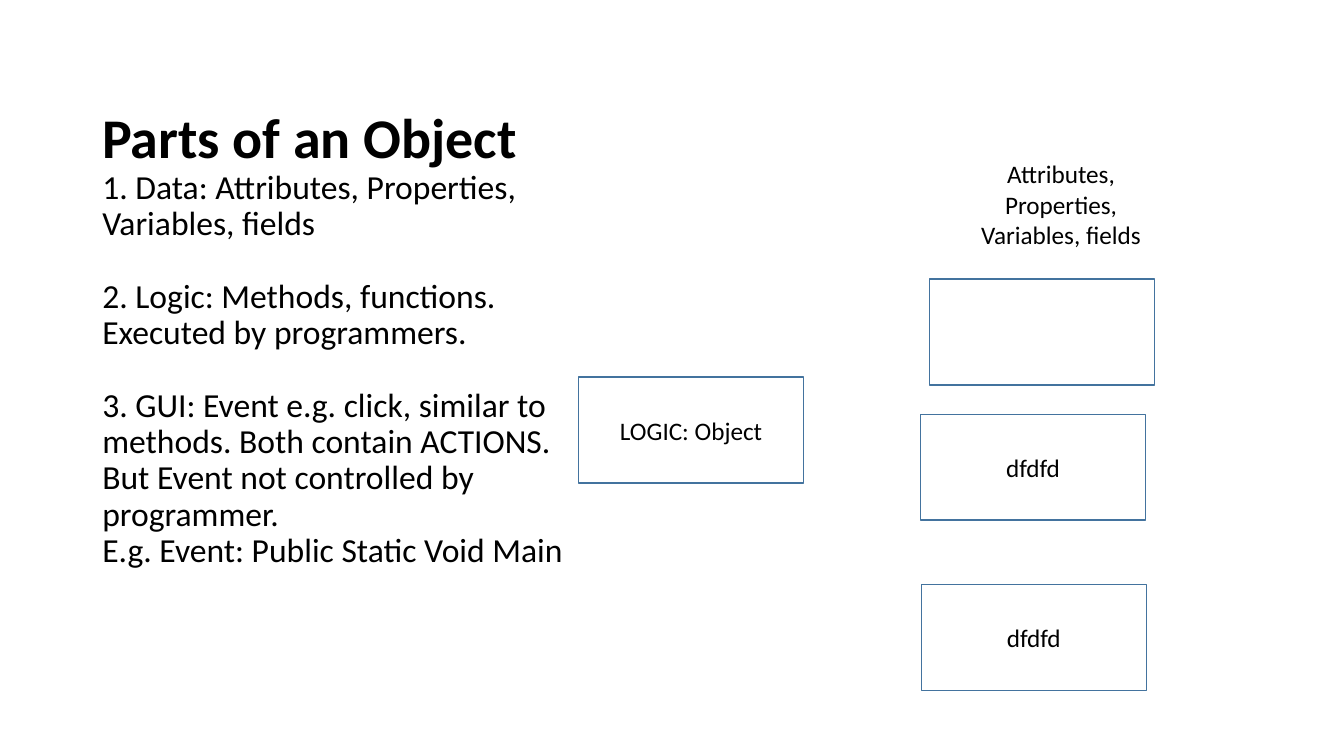
from pptx import Presentation
from pptx.dml.color import RGBColor
from pptx.enum.shapes import MSO_SHAPE
from pptx.enum.text import MSO_ANCHOR, PP_ALIGN
from pptx.util import Pt

COLORS = {"text": "000000", "outline": "43739E"}
BOX_WIDTH, BOX_HEIGHT = 160.8, 75.6

prs = Presentation()
prs.slide_width, prs.slide_height = Pt(960), Pt(540)
slide = prs.slides.add_slide(prs.slide_layouts[6])


def add_paragraph(frame, index, text, size, bold=False):
    paragraph = frame.paragraphs[0] if index == 0 else frame.add_paragraph()
    run = paragraph.add_run()
    run.text = text
    run.font.name = "Calibri"
    run.font.size = Pt(size)
    run.font.bold = bold
    run.font.color.rgb = RGBColor.from_string(COLORS["text"])
    return paragraph


parts = [
    ("Parts of an Object", 40, 0),
    ("1. Data: Attributes, Properties, Variables, fields", 24, 0),
    ("2. Logic: Methods, functions. Executed by programmers.", 24, 26),
    ("3. GUI: Event e.g. click, similar to methods. Both contain ACTIONS. "
     "But Event not controlled by programmer.", 24, 26),
    ("E.g. Event: Public Static Void Main", 24, 0),
]
parts_frame = slide.shapes.add_textbox(Pt(66), Pt(28.8), Pt(344.2), Pt(427.7)).text_frame
parts_frame.word_wrap = True
parts_frame.vertical_anchor = MSO_ANCHOR.MIDDLE
for index, (text, size, gap) in enumerate(parts):
    paragraph = add_paragraph(parts_frame, index, text, size, bold=index == 0)
    paragraph.line_spacing = 0.9
    paragraph.space_before = Pt(gap)

boxes = [
    ("LOGIC: Object", 413.3, 269.3, True),
    ("", 663.8, 199.4, True),
    ("dfdfd", 657.4, 295.9, True),
    ("dfdfd", 658.1, 417.6, True),
    ("Attributes, Properties, Variables, fields", 677.5, 108, False),
]
for text, left, top, outlined in boxes:
    place = Pt(left), Pt(top), Pt(BOX_WIDTH), Pt(BOX_HEIGHT)
    if outlined:
        box = slide.shapes.add_shape(MSO_SHAPE.RECTANGLE, *place)
        box.shadow.inherit = False
        box.fill.background()
        box.line.color.rgb = RGBColor.from_string(COLORS["outline"])
        box.line.width = Pt(1)
    else:
        box = slide.shapes.add_textbox(*place)
    frame = box.text_frame
    frame.word_wrap = True
    frame.vertical_anchor = MSO_ANCHOR.MIDDLE
    if text:
        add_paragraph(frame, 0, text, 18).alignment = PP_ALIGN.CENTER

prs.save("out.pptx")
